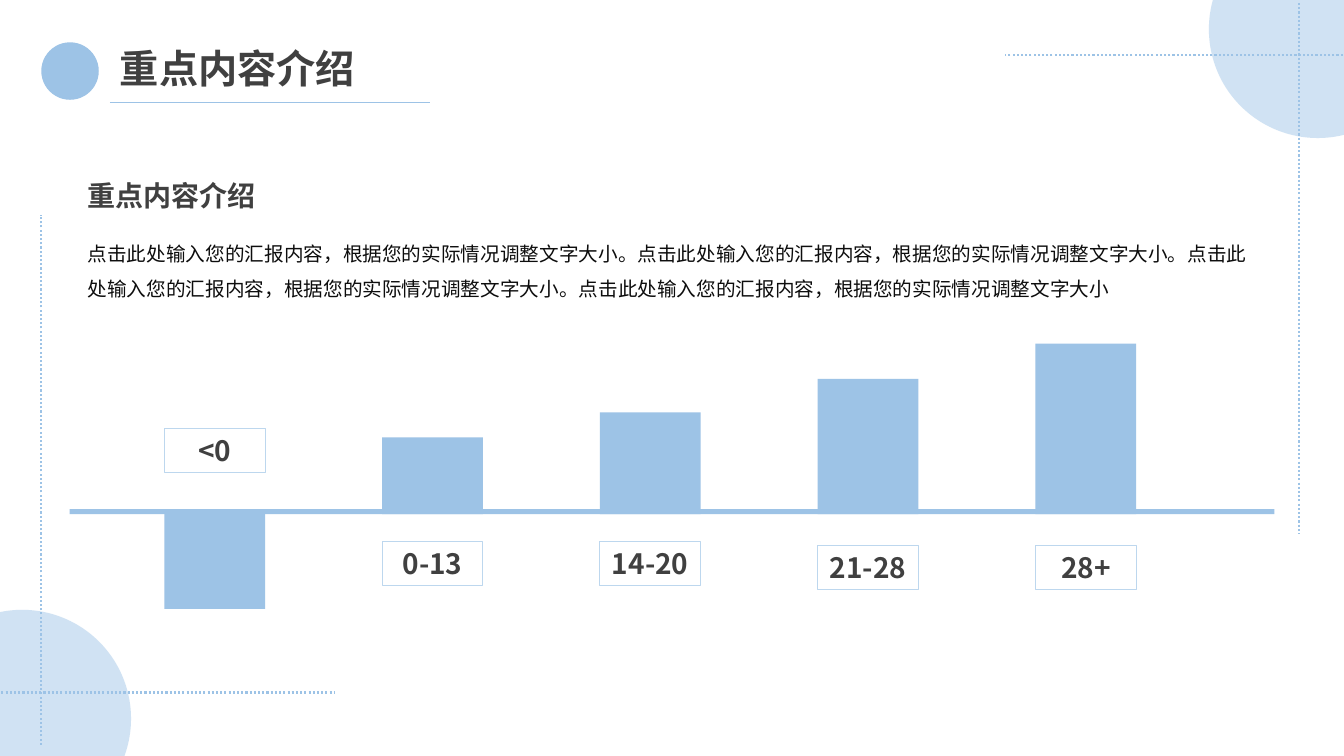
"""Build the key content slide with a stepped bar graphic above a baseline."""
from lxml.etree import SubElement
from pptx import Presentation
from pptx.dml.color import RGBColor
from pptx.enum.dml import MSO_LINE_DASH_STYLE as Dash
from pptx.enum.shapes import MSO_CONNECTOR as Connector, MSO_SHAPE as Shape
from pptx.enum.text import MSO_ANCHOR as Anchor, MSO_AUTO_SIZE as AutoSize, PP_ALIGN as Align
from pptx.oxml.ns import qn
from pptx.util import Inches, Pt

BLUE = RGBColor(0x9D, 0xC3, 0xE6)
PALE_BLUE = RGBColor(0xBD, 0xD7, 0xEE)
DARK_GRAY = RGBColor(0x40, 0x40, 0x40)
NEAR_BLACK = RGBColor(0x0D, 0x0D, 0x0D)
FONT = "Noto Sans CJK SC"
HEADING = "重点内容介绍"
SENTENCE = "点击此处输入您的汇报内容，根据您的实际情况调整文字大小"


def write_text(shape, text, size=20, color=DARK_GRAY, bold=True, align=Align.JUSTIFY,
               spacing=1.0, anchor=Anchor.TOP):
    frame = shape.text_frame
    frame.word_wrap = True
    frame.auto_size = AutoSize.NONE
    frame.vertical_anchor = anchor
    paragraph = frame.paragraphs[0]
    paragraph.alignment = align
    paragraph.line_spacing = spacing
    paragraph.space_before = Pt(0)
    run = paragraph.add_run()
    run.text = text
    run.font.size = Pt(size)
    run.font.bold = bold
    run.font.name = FONT
    run.font.color.rgb = color
    SubElement(run.font._element, qn("a:ea"), typeface=FONT)
    return paragraph


def add_filled(shapes, kind, left, top, width, height, color=BLUE):
    shape = shapes.add_shape(kind, Inches(left), Inches(top), Inches(width), Inches(height))
    shape.shadow.inherit = False
    shape.fill.solid()
    shape.fill.fore_color.rgb = color
    shape.line.fill.background()
    return shape


presentation = Presentation()
presentation.slide_width = Inches(13.33)
presentation.slide_height = Inches(7.5)
slide = presentation.slides.add_slide(presentation.slide_layouts[1])
title, body = slide.placeholders

title.left, title.top, title.width, title.height = map(Inches, (1.09, 0.39, 3.18, 0.57))
write_text(title, HEADING, size=28, anchor=Anchor.MIDDLE)

body.left, body.top, body.width, body.height = map(Inches, (0.77, 2.23, 11.87, 0.77))
paragraph = write_text(body, "。".join([SENTENCE] * 4), size=14, color=NEAR_BLACK,
                       bold=False, align=Align.LEFT, spacing=1.5)
properties = paragraph._p.get_or_add_pPr()
properties.set("marL", "0")
properties.set("indent", "0")
SubElement(properties, qn("a:buNone"))

subheading = slide.shapes.add_textbox(Inches(0.77), Inches(1.72), Inches(2.32), Inches(0.44))
write_text(subheading, HEADING)

graphic = slide.shapes.add_group_shape()
add_filled(graphic.shapes, Shape.RECTANGLE, 0.69, 5.05, 11.95, 0.05)
bars = [
    ("<0", 5.06, 0.98, 4.25),
    ("0-13", 4.34, 0.76, 5.37),
    ("14-20", 4.09, 1.01, 5.37),
    ("21-28", 3.76, 1.34, 5.41),
    ("28+", 3.41, 1.69, 5.41),
]
for index, (label, bar_top, bar_height, label_top) in enumerate(bars):
    left = 1.63 + 2.16 * index
    add_filled(graphic.shapes, Shape.RECTANGLE, left, bar_top, 1, bar_height)
    label_box = add_filled(slide.shapes, Shape.RECTANGLE, left, label_top, 1, 0.44)
    label_box.fill.background()
    label_box.line.color.rgb = PALE_BLUE
    label_box.line.width = Pt(0.75)
    write_text(label_box, label, align=Align.CENTER, anchor=Anchor.MIDDLE)

for left, top in [(11.99, -0.79), (-0.86, 6.05)]:
    corner_circle = add_filled(slide.shapes, Shape.OVAL, left, top, 2.16, 2.16, PALE_BLUE)
    color_element = corner_circle.fill._xPr.find(qn("a:solidFill"))[0]
    SubElement(color_element, qn("a:alpha"), val="70000")
add_filled(slide.shapes, Shape.OVAL, 0.41, 0.42, 0.57, 0.57)

lines = [
    (13.36, 0.55, 9.97, 0.55, 1.5, Dash.ROUND_DOT),
    (12.88, 0.03, 12.88, 5.29, 1.5, Dash.ROUND_DOT),
    (-0.07, 6.87, 3.32, 6.87, 1.5, Dash.ROUND_DOT),
    (0.41, 7.39, 0.41, 2.13, 1.5, Dash.ROUND_DOT),
    (1.09, 1.02, 4.27, 1.02, 0.5, Dash.SOLID),
]
for *ends, width, dash in lines:
    line = slide.shapes.add_connector(Connector.STRAIGHT, *map(Inches, ends))
    line.line.color.rgb = BLUE
    line.line.width = Pt(width)
    line.line.dash_style = dash
    SubElement(line._element.spPr, qn("a:effectLst"))

presentation.save("out.pptx")
